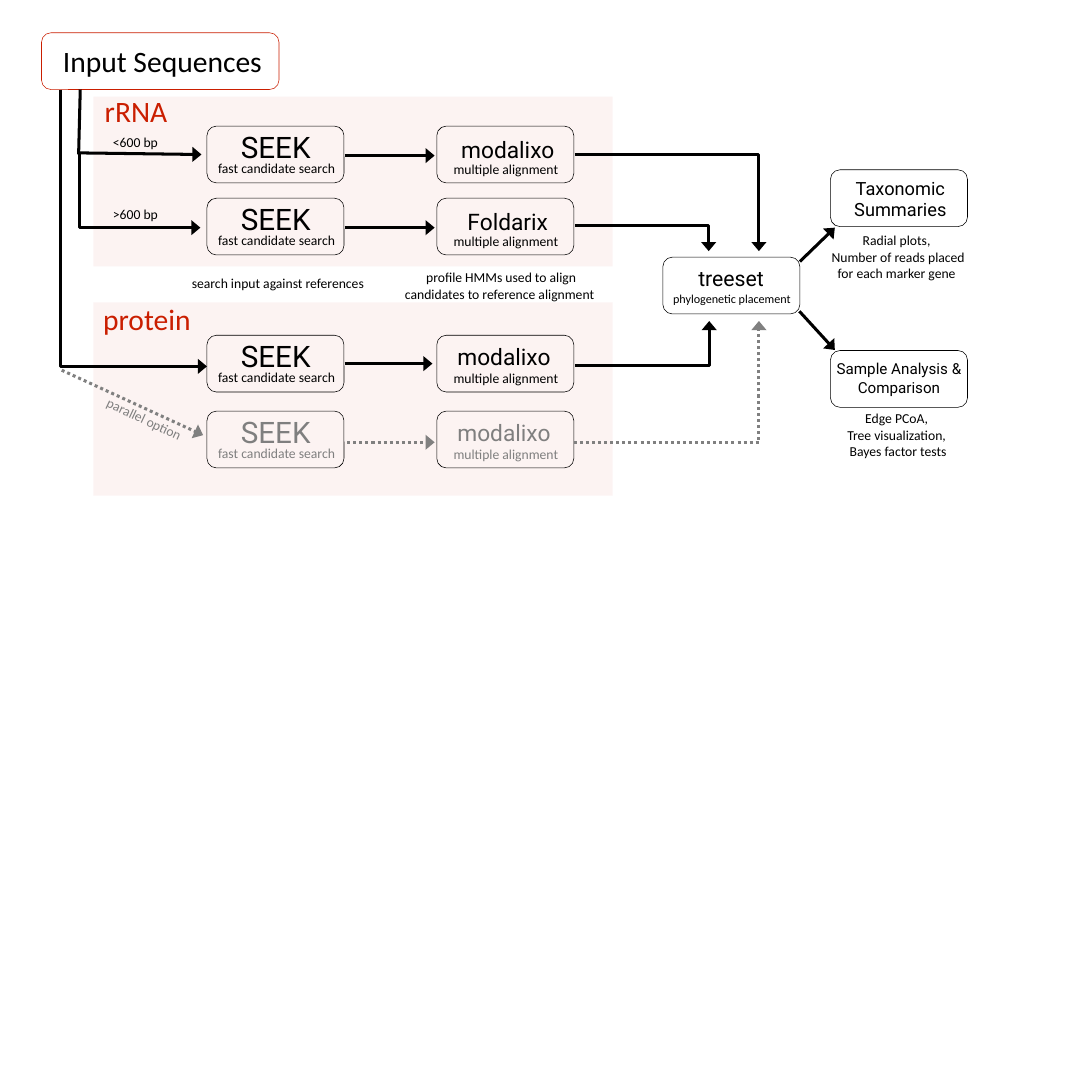
from lxml import etree
from pptx import Presentation, util as u
from pptx.dml.color import RGBColor
from pptx.enum import dml, shapes, text
from pptx.oxml import ns

COLORS = {"black": "000000", "red": "CA1E00", "gray": "808080", "muted": "7F7F7F"}
BOX_W, BOX_H = 2.51, 1.04
SEARCH_X, ALIGN_X = 3.79, 8


def rgb(name):
    """Look up a named colour."""
    return RGBColor.from_string(COLORS[name])


def child(parent, tag, **attrs):
    """Append a DrawingML element with the given attributes."""
    return etree.SubElement(parent, ns.qn(tag), attrs)


class Diagram:
    """The flow chart's style and its current slide."""

    body, head = "Calibri", "Roboto"
    border, stroke = 0.75, 4

    def __init__(self, s):
        self.s = s

    def band(self, x, y, w, h):
        """Add a pale red background band."""
        sp = self.s.shapes.add_shape(shapes.MSO_SHAPE.RECTANGLE, *map(u.Inches, (x, y, w, h)))
        sp.shadow.inherit = False
        sp.line.fill.background()
        sp.fill.solid()
        sp.fill.fore_color.rgb = rgb("red")
        tint = sp.fill._xPr.find(ns.qn("a:solidFill"))[0]
        child(tint, "a:alpha", val="5000")

    def box(self, x, y, w=BOX_W, h=BOX_H, color="black", parent=None):
        """Add an unfilled rounded box."""
        sp = (parent or self.s).shapes.add_shape(
            shapes.MSO_SHAPE.ROUNDED_RECTANGLE, *map(u.Inches, (x, y, w, h)))
        sp.shadow.inherit = False
        sp.fill.background()
        sp.line.color.rgb = rgb(color)
        sp.line.width = u.Pt(self.border)

    def label(self, x, y, w, h, lines, size=18, color="black", font=None,
              center=True, angle=0, parent=None):
        """Add a text box with one paragraph per line."""
        sp = (parent or self.s).shapes.add_textbox(*map(u.Inches, (x, y, w, h)))
        sp.rotation = angle
        tf = sp.text_frame
        tf.word_wrap = True
        for i, line in enumerate(lines):
            p = tf.add_paragraph() if i else tf.paragraphs[0]
            p.alignment = text.PP_ALIGN.CENTER if center else text.PP_ALIGN.LEFT
            r = p.add_run()
            r.text = line
            r.font.size = u.Pt(size)
            r.font.name = font or self.body
            r.font.color.rgb = rgb(color)

    def step(self, x, y, name, size, name_at, name_box, note=None,
             note_at=(0, 0), note_w=BOX_W, color="black"):
        """Add a grouped box with a name and an optional note, placed relative to it."""
        g = self.s.shapes.add_group_shape()
        self.box(x, y, parent=g)
        self.label(x + name_at[0], y + name_at[1], *name_box, [name], size, color,
                   self.head, parent=g)
        if note:
            self.label(x + note_at[0], y + note_at[1], note_w, 0.4, [note],
                       color=color, parent=g)

    def arrow(self, start, end, bend=None, color="black", head=True):
        """Add a connector; bend is the share of its width where it turns."""
        kind = shapes.MSO_CONNECTOR.STRAIGHT if bend is None else shapes.MSO_CONNECTOR.ELBOW
        c = self.s.shapes.add_connector(kind, *map(u.Inches, start + end))
        c.line.color.rgb = rgb(color)
        c.line.width = u.Pt(self.stroke)
        if color == "gray":
            c.line.dash_style = dml.MSO_LINE.ROUND_DOT
        if head:
            child(c.line._get_or_add_ln(), "a:tailEnd", type="triangle", w="lg")
        pr = c._element.spPr
        child(pr, "a:effectLst")
        if bend is not None:
            guides = pr.find(ns.qn("a:prstGeom")).get_or_add_avLst()
            child(guides, "a:gd", name="adj1", fmla=f"val {bend * 100000}")


prs = Presentation()
prs.slide_width = prs.slide_height = u.Inches(20)
d = Diagram(prs.slides.add_slide(prs.slide_layouts[6]))

# Bands and input
for y, h in ((5.54, 3.54), (1.77, 3.11)):
    d.band(1.71, y, 9.51, h)
d.box(0.76, 0.6, 4.35, color="red")
d.label(1.05, 0.74, 3.85, 0.76, ["Input Sequences"], 39)
for x, y, w, name in ((1.82, 1.65, 1.5, "rRNA"), (1.79, 5.46, 1.88, "protein")):
    d.label(x, y, w, 0.76, [name], 39, "red", center=False)

# Search and alignment rows: top, aligner, its offset, arrow start, arrow end, arrow height
rows = (
    (2.31, "modalixo", (0.19, 0.13), 6.31, 7.96, 2.85, "black"),
    (3.63, "Foldarix", (0.19, 0.13), 6.31, 7.96, 4.17, "black"),
    (6.14, "modalixo", (0.12, 0.09), 6.31, 7.92, 6.66, "black"),
    (7.53, "modalixo", (0.12, 0.09), 6.36, 7.96, 8.1, "muted"),
)
for y, aligner, offset, x1, x2, mid, color in rows:
    d.step(SEARCH_X, y, "SEEK", 39, (0.15, 0), (2.22, 0.76),
           "fast candidate search", (-0.17, 0.56), 2.89, color)
    d.step(ALIGN_X, y, aligner, 30, offset, (2.22, 0.61),
           "multiple alignment", (0, 0.58), 2.53, color)
    d.arrow((x1, mid), (x2, mid), color="gray" if color == "muted" else color)

# Placement and results
d.step(12.14, 4.71, "treeset", 28, (0.14, 0.1), (2.22, 0.57))
d.label(12.06, 5.28, 2.69, 0.37, ["phylogenetic placement"], 16)
d.step(15.21, 3.11, "Taxonomic Summaries", 24, (0.17, 0.08), (2.22, 0.91))
d.step(15.21, 6.42, "Sample Analysis & Comparison", 20, (0, 0.12), (2.51, 0.77))

# Captions
d.label(3.12, 4.98, 3.94, 0.71, ["search input against references"])
d.label(7.26, 4.88, 3.84, 0.71,
        ["profile HMMs used to align candidates to reference alignment "])
d.label(15.08, 4.2, 2.74, 1.31,
        ["Radial plots, ", "Number of reads placed for each marker gene "])
d.label(15.08, 7.46, 2.74, 1.31,
        ["Edge PCoA, ", "Tree visualization, ", "Bayes factor tests"])
for y, name in ((2.4, "<600 bp"), (3.73, ">600 bp")):
    d.label(1.97, y, 1.43, 0.4, [name], center=False)
d.label(1.8, 7.51, 1.86, 0.4, ["parallel option"], color="muted", center=False, angle=25.1)

# Input to searches
d.arrow((1.47, 1.64), (1.44, 2.83), head=False)
d.arrow((1.44, 2.8), (3.69, 2.83))
d.arrow((1.45, 2.8), (3.67, 4.17), bend=0)
d.arrow((1.11, 1.64), (3.79, 6.71), bend=0)
d.arrow((1.13, 6.78), (3.72, 7.97), color="gray")

# Alignments to placement, placement to results
for start, end, color in (
    ((10.53, 2.83), (13.9, 4.6), "black"),
    ((10.53, 4.13), (12.98, 4.6), "black"),
    ((10.53, 6.7), (12.99, 5.88), "black"),
    ((10.51, 8.11), (13.9, 5.88), "gray"),
):
    d.arrow(start, end, bend=1, color=color)
d.arrow((14.65, 4.79), (15.29, 4.17))
d.arrow((14.64, 5.7), (15.29, 6.41))

prs.save("out.pptx")
